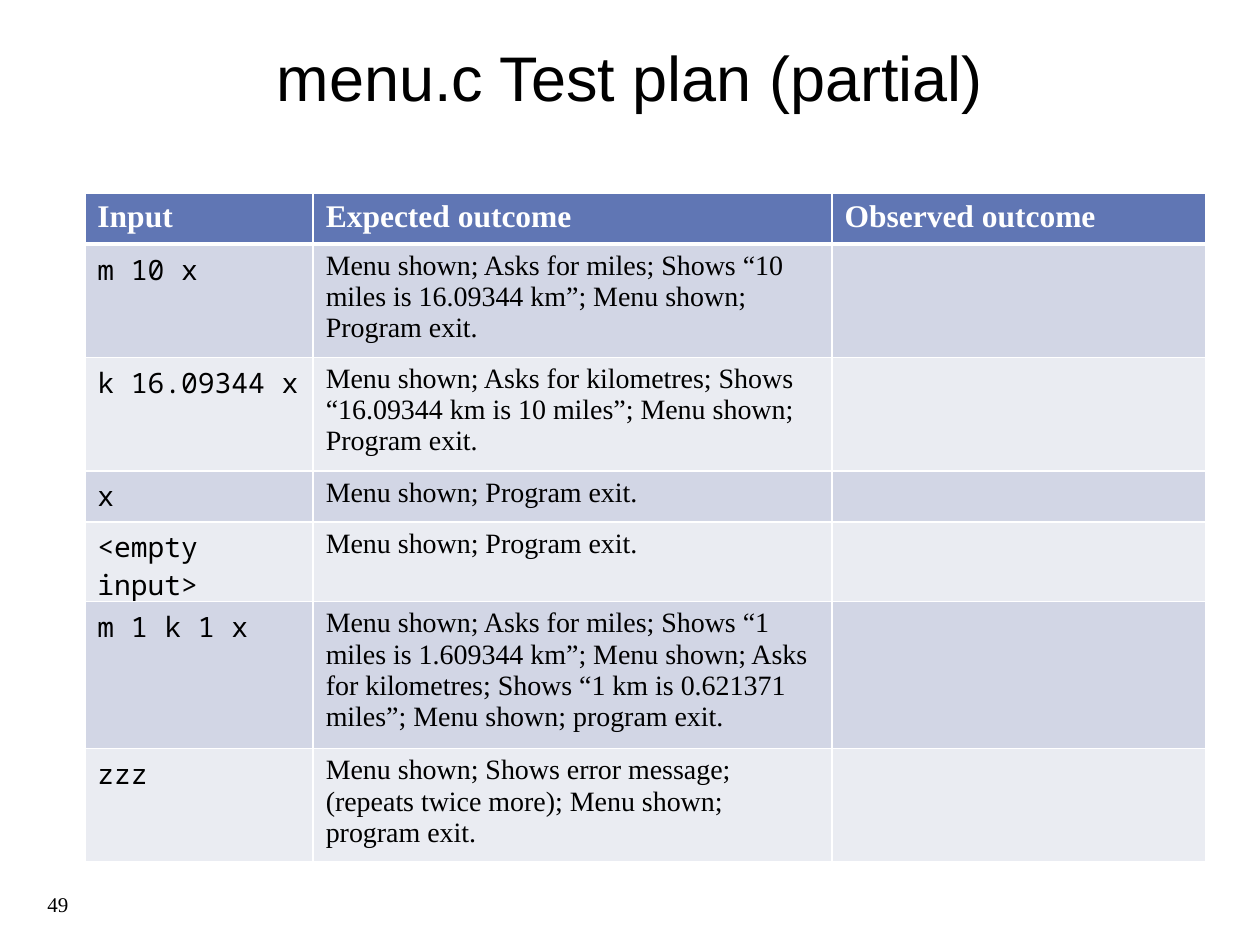
"""Build the menu.c test plan slide with its table of inputs and outcomes."""
from typing import NamedTuple

from lxml import etree
from pptx import Presentation
from pptx import util as u
from pptx.dml import color
from pptx.enum import text
from pptx.oxml import ns

COLORS = {"ink": "000000", "paper": "FFFFFF", "header": "6076B4", "odd": "D2D6E5", "even": "EAECF2"}
SERIF, SANS, MONO = "Times New Roman", "Arial", "Noto Sans Mono"
HEADINGS = ("Input", "Expected outcome", "Observed outcome")
COLUMN_WIDTHS = (130.5, 296.5, 213.6)
ROW_HEIGHT = 29.2


class Label(NamedTuple):
    words: str
    left: float
    top: float
    width: float
    height: float
    font: str
    size: float
    align: text.PP_ALIGN


class TestCase(NamedTuple):
    entry: str
    expected: str
    observed: str = ""


LABELS = (
    Label("menu.c Test plan (partial)", 20, 4.5, 680, 78.5, SANS, 36, text.PP_ALIGN.CENTER),
    Label("49", 20, 502, 527, 28.8, SERIF, 12, text.PP_ALIGN.LEFT),
)
CASES = (
    TestCase("m 10 x", "Menu shown; Asks for miles; Shows “10 miles is 16.09344 km”; Menu shown; Program exit."),
    TestCase("k 16.09344 x",
             "Menu shown; Asks for kilometres; Shows “16.09344 km is 10 miles”; Menu shown; Program exit."),
    TestCase("x", "Menu shown; Program exit."),
    TestCase("<empty input>", "Menu shown; Program exit."),
    TestCase("m 1 k 1 x", "Menu shown; Asks for miles; Shows “1 miles is 1.609344 km”; Menu shown; "
             "Asks for kilometres; Shows “1 km is 0.621371 miles”; Menu shown; program exit."),
    TestCase("zzz", "Menu shown; Shows error message; (repeats twice more); Menu shown; program exit."),
)


def rgb(name: str) -> color.RGBColor:
    return color.RGBColor.from_string(COLORS[name])


def write(para, words: str, font: str, size: float, ink: str, bold: bool = False) -> None:
    para.text = words
    para.font.name, para.font.size, para.font.bold = font, u.Pt(size), bold
    para.font.color.rgb = rgb(ink)


def add_label(page, label: Label) -> None:
    box = page.shapes.add_textbox(*map(u.Pt, label[1:5]))
    frame = box.text_frame
    frame.word_wrap = True
    frame.vertical_anchor = text.MSO_ANCHOR.MIDDLE
    para = frame.paragraphs[0]
    para.alignment = label.align
    write(para, label.words, label.font, label.size, "ink")


def add_borders(cell, top: float, bottom: float) -> None:
    properties = cell._tc.get_or_add_tcPr()
    for side, width in (("L", 1), ("R", 1), ("T", top), ("B", bottom)):
        line = etree.SubElement(properties, ns.qn(f"a:ln{side}"), w=str(u.Pt(width)))
        fill = etree.SubElement(line, ns.qn("a:solidFill"))
        etree.SubElement(fill, ns.qn("a:srgbClr"), val=COLORS["paper"])


def add_plan(page) -> None:
    rows = (HEADINGS, *CASES)
    frame = page.shapes.add_table(len(rows), len(HEADINGS), u.Pt(48.5), u.Pt(110.2),
                                  u.Pt(sum(COLUMN_WIDTHS)), u.Pt(ROW_HEIGHT * len(rows)))
    table = frame.table
    for column, width in zip(table.columns, COLUMN_WIDTHS):
        column.width = u.Pt(width)
    for row_index, row in enumerate(rows):
        table.rows[row_index].height = u.Pt(ROW_HEIGHT)
        header = row_index == 0
        shade = "header" if header else ("even", "odd")[row_index % 2]
        for column_index, words in enumerate(row):
            cell = table.cell(row_index, column_index)
            add_borders(cell, 3 if row_index == 1 else 1, 3 if header else 1)
            cell.fill.solid()
            cell.fill.fore_color.rgb = rgb(shade)
            font = MONO if column_index == 0 and not header else SERIF
            write(cell.text_frame.paragraphs[0], words, font, 18 if header else 16,
                  "paper" if header else "ink", header)


def main() -> None:
    deck = Presentation()
    deck.slide_width, deck.slide_height = u.Pt(720), u.Pt(540)
    page = deck.slides.add_slide(deck.slide_layouts[6])
    for label in LABELS:
        add_label(page, label)
    add_plan(page)
    deck.save("out.pptx")


main()
